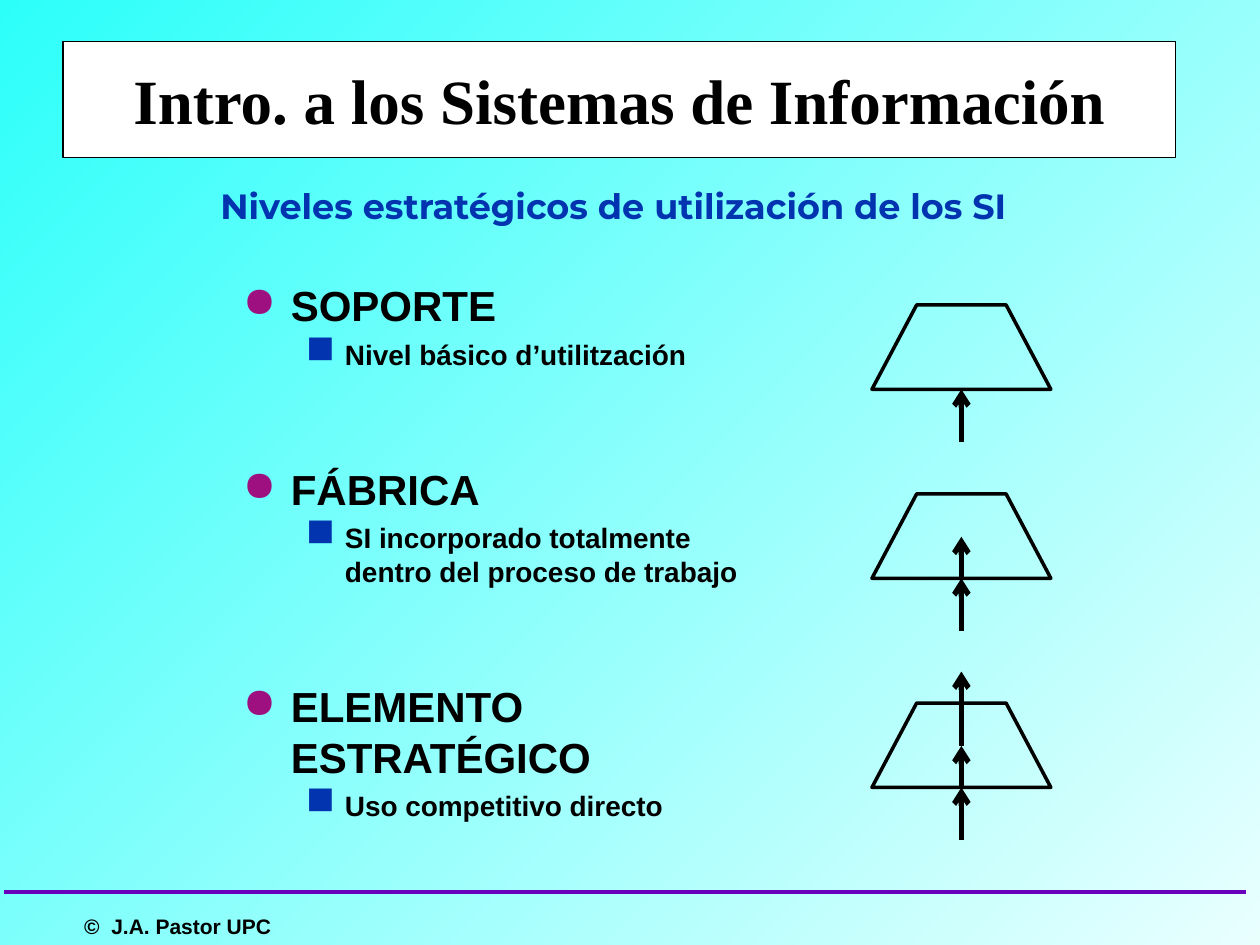
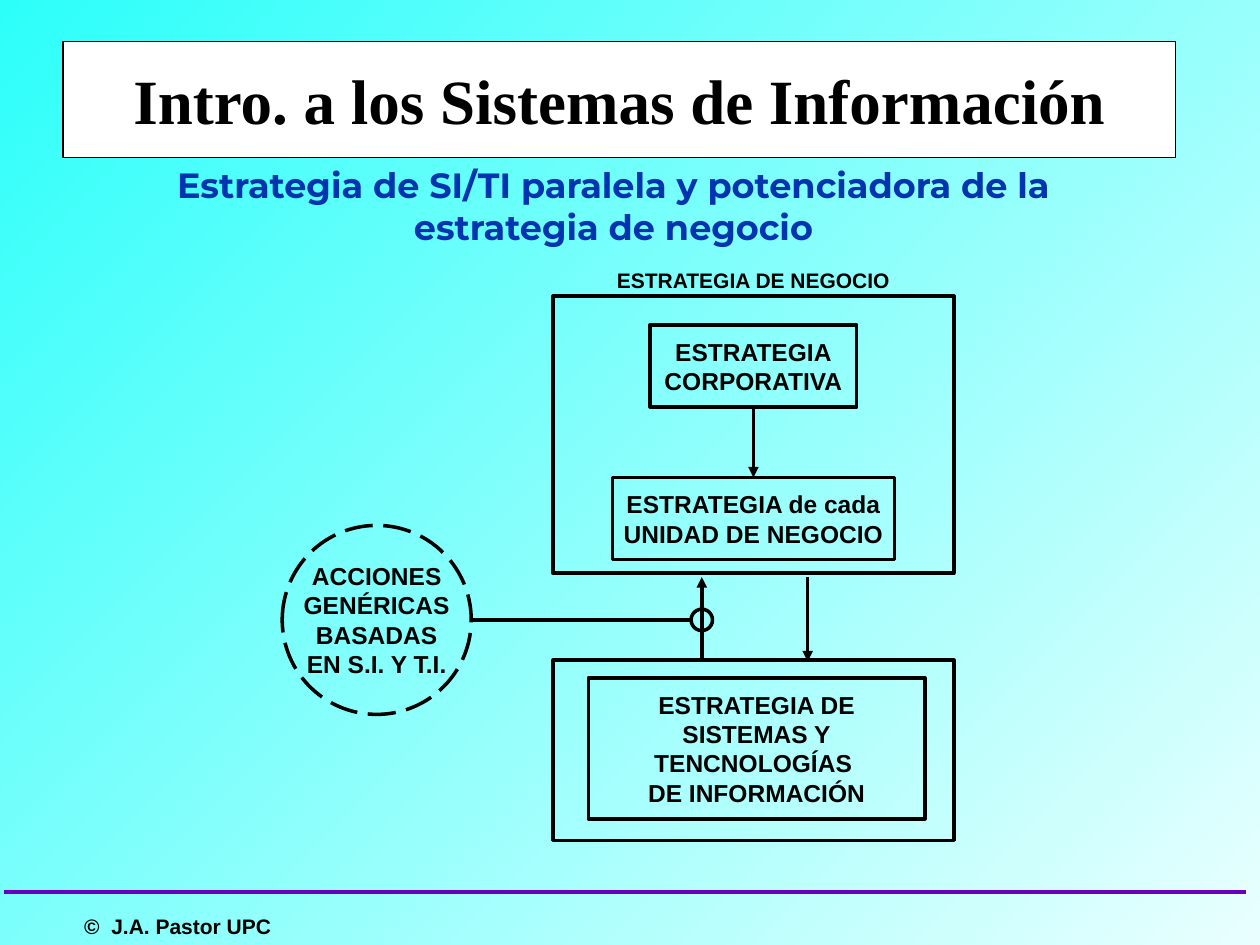
import lxml.etree
import pptx
import pptx.dml.color
import pptx.enum.dml
import pptx.enum.shapes
import pptx.enum.text
import pptx.oxml.ns
import pptx.util

Inches, Pt = pptx.util.Inches, pptx.util.Pt
SHAPE = pptx.enum.shapes.MSO_SHAPE
ALIGN = pptx.enum.text.PP_ALIGN
MIDDLE = pptx.enum.text.MSO_ANCHOR.MIDDLE
qn = pptx.oxml.ns.qn

HUES = {"ink": "000000", "paper": "FFFFFF", "title": "0234B0", "dot": "9E1080",
        "rule": "6900BC", "pale": "E9FFFE", "aqua": "2CFFFA"}
LEVELS = [
    ("SOPORTE", "Nivel básico d’utilitzación"),
    ("FÁBRICA", "SI incorporado totalmente dentro del proceso de trabajo"),
    ("ELEMENTO ESTRATÉGICO", "Uso competitivo directo"),
]


def hue(name):
    return pptx.dml.color.RGBColor.from_string(HUES[name])


def tag(parent, name, **attrs):
    return lxml.etree.SubElement(parent, qn(name), attrs)


def style(para, size, face="Arial", color="ink"):
    font = para.font
    font.size, font.name, font.bold = Pt(size), face, True
    font.color.rgb = hue(color)


def write(shape, lines, size, face="Arial", color="ink", wrap=False,
          pad=(0, 0), align=ALIGN.CENTER):
    frame = shape.text_frame
    frame.word_wrap, frame.vertical_anchor = wrap, MIDDLE
    frame.margin_left = frame.margin_right = Inches(pad[0])
    frame.margin_top = frame.margin_bottom = Inches(pad[1])
    frame.text = "\n".join(lines)
    for para in frame.paragraphs:
        para.alignment = align
        style(para, size, face, color)


def label(slide, box, lines, size, **look):
    shape = slide.shapes.add_textbox(*map(Inches, box))
    write(shape, lines, size, **look)
    return shape


def outline(slide, box, kind=SHAPE.RECTANGLE, lines=(), size=14, width=2,
            fill=None, **look):
    """Add a preset shape with a black edge and optional text."""
    shape = slide.shapes.add_shape(kind, *map(Inches, box))
    shape.shadow.inherit = False
    if fill:
        shape.fill.solid()
        shape.fill.fore_color.rgb = hue(fill)
    else:
        shape.fill.background()
    shape.line.color.rgb, shape.line.width = hue("ink"), Pt(width)
    if lines:
        write(shape, lines, size, **look)
    return shape


def link(slide, start, end, width=2, color="ink", head=None):
    line = slide.shapes.add_connector(
        pptx.enum.shapes.MSO_CONNECTOR.STRAIGHT, *map(Inches, start + end))
    line.line.color.rgb, line.line.width = hue(color), Pt(width)
    props = line._element.spPr
    if head:
        tag(props.find(qn("a:ln")), "a:tailEnd", type=head)
    tag(props, "a:effectLst")
    return line


def backdrop(deck):
    fill = deck.slide_master.background.fill
    fill.gradient()
    fill.gradient_angle = 135
    for stop, name in zip(fill.gradient_stops, ("pale", "aqua")):
        stop.color.rgb = hue(name)


def base(deck, title):
    """Add a slide with the shared banner, title and footer."""
    slide = deck.slides.add_slide(deck.slide_layouts[6])
    link(slide, (0.03, 7.08), (9.89, 7.08), color="rule")
    label(slide, (0.57, 7.2, 1.72, 0.3), ["©  J.A. Pastor UPC"], 12,
          pad=(0.1, 0.05), align=ALIGN.LEFT)
    outline(slide, (0.5, 0.33, 8.83, 0.92), lines=["Intro. a los Sistemas de Información"],
            size=36, width=1, fill="paper", face="Times New Roman")
    label(slide, (0.58, 1.42, 8.58, 0.42), [title], 20, face="Montserrat",
          color="title", wrap=True, pad=(0.1, 0.05))
    return slide


def bullet(para, text, size, mark, color, left, hang, scale, before):
    para.text = text
    style(para, size)
    para.space_before = Pt(before)
    props = para._p.get_or_add_pPr()
    props.set("marL", str(Inches(left)))
    props.set("indent", str(-Inches(hang)))
    tag(tag(props, "a:buClr"), "a:srgbClr", val=HUES[color])
    tag(props, "a:buSzPct", val=str(scale * 1000))
    tag(props, "a:buChar", char=mark)


def outlist(slide, box):
    """List each level with its description below it."""
    frame = slide.shapes.add_textbox(*map(Inches, box)).text_frame
    frame.word_wrap = True
    for i, (name, note) in enumerate(LEVELS):
        para = frame.add_paragraph() if i else frame.paragraphs[0]
        bullet(para, name, 24, "●", "dot", 0.38, 0.38, 100, 53 if i else 6)
        para = frame.add_paragraph()
        para.level = 1
        bullet(para, note, 16, "■", "title", 0.81, 0.31, 140, 4)


def level(slide, box, rises):
    """Draw a trapezoid with arrows stacked through its base."""
    left, top, width, height = box
    trap = outline(slide, box, SHAPE.TRAPEZOID)
    trap.adjustments[0] = 0.53
    mid, foot = left + width / 2, top + height
    y = foot + 0.42
    for i, rise in enumerate(rises):
        arrow = link(slide, (mid, y), (mid, y - rise), 3, head="arrow")
        if i == 0:
            arrow.end_connect(trap, 2)
        y -= rise


def business(slide, box):
    left, top, width, height = box
    mid = left + width / 2
    outline(slide, box)
    label(slide, (mid - 1.1, top - 0.23, 2.2, 0.2), ["ESTRATEGIA DE NEGOCIO"], 12)
    firm = outline(slide, (mid - 0.82, top + 0.23, 1.64, 0.65),
                   lines=["ESTRATEGIA", "CORPORATIVA"])
    unit = outline(slide, (mid - 1.12, top + 1.44, 2.24, 0.65),
                   lines=["ESTRATEGIA de cada", "UNIDAD DE NEGOCIO"])
    arrow = link(slide, (mid, top + 0.9), (mid, top + 1.4), head="triangle")
    arrow.begin_connect(firm, 2)
    arrow.end_connect(unit, 0)


def systems(slide, box):
    left, top, width, height = box
    outline(slide, box)
    outline(slide, (left + 0.28, top + 0.14, 2.67, 1.12),
            lines=["ESTRATEGIA DE", "SISTEMAS Y", "TENCNOLOGÍAS ", "DE INFORMACIÓN"])


def actions(slide, box, joint):
    """Draw the dashed circle and tie it to a ring centred on joint."""
    left, top, width, height = box
    x, y = joint
    ring = 0.17
    outline(slide, (x - ring / 2, y - ring / 2, ring, ring), SHAPE.OVAL)
    disc = outline(slide, box, SHAPE.OVAL,
                   ["ACCIONES", "GENÉRICAS", "BASADAS", "EN S.I. Y T.I."])
    disc.line.dash_style = pptx.enum.dml.MSO_LINE.LONG_DASH
    link(slide, (left + width, y), (x - ring / 2, y))


def levels(deck):
    slide = base(deck, "Niveles estratégicos de utilización de los SI")
    outlist(slide, (1.83, 2.17, 4.5, 4.58))
    stack = (0.42, 0.33, 0.59)
    for i, top in enumerate((2.42, 3.92, 5.58)):
        level(slide, (6.92, top, 1.42, 0.67), stack[:i + 1])


def strategy(deck):
    slide = base(deck, "Estrategia de SI/TI paralela y potenciadora "
                       "de la estrategia de negocio")
    business(slide, (4.39, 2.35, 3.18, 2.2))
    systems(slide, (4.39, 5.24, 3.18, 1.43))
    link(slide, (5.57, 5.25), (5.57, 4.58), head="triangle")
    link(slide, (6.41, 4.58), (6.41, 5.25), head="triangle")
    actions(slide, (2.24, 4.17, 1.5, 1.5), (5.57, 4.92))


def main():
    deck = pptx.Presentation()
    deck.slide_width, deck.slide_height = Inches(10), Inches(7.5)
    backdrop(deck)
    levels(deck)
    strategy(deck)
    deck.save("out.pptx")


if __name__ == "__main__":
    main()
